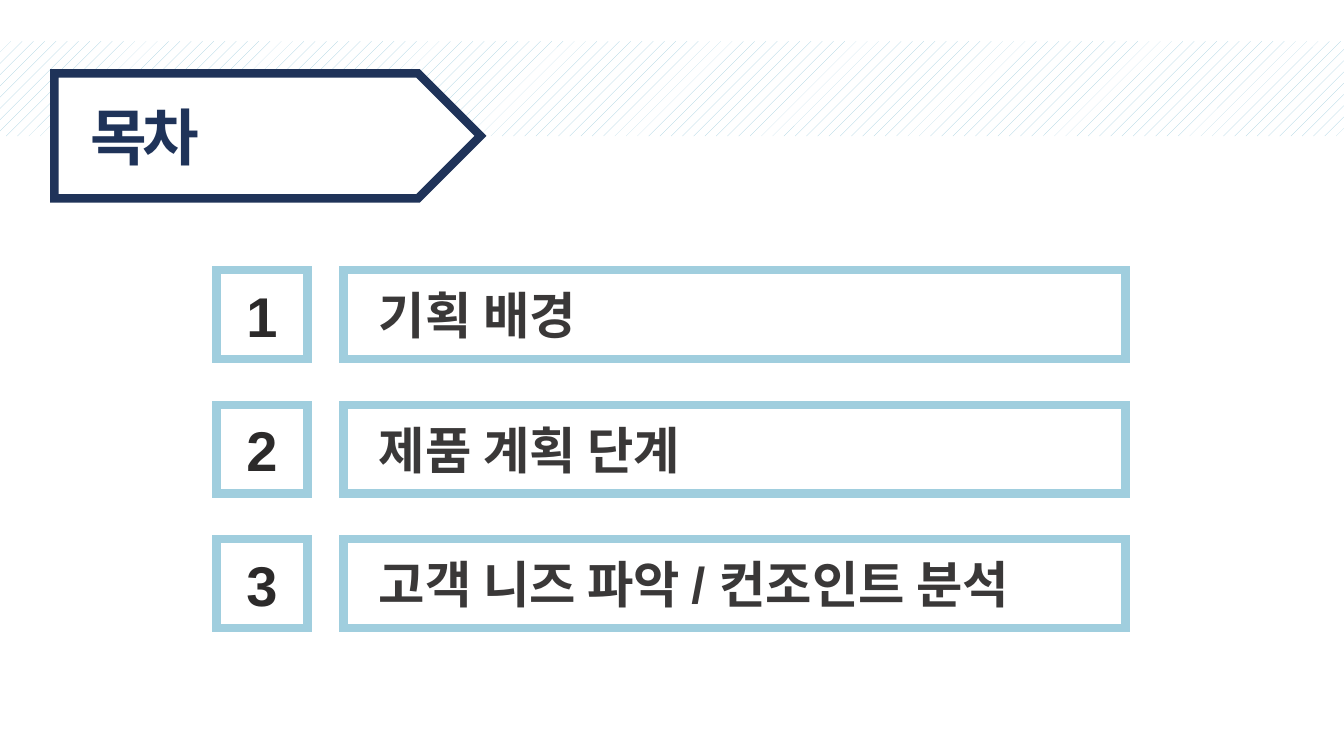
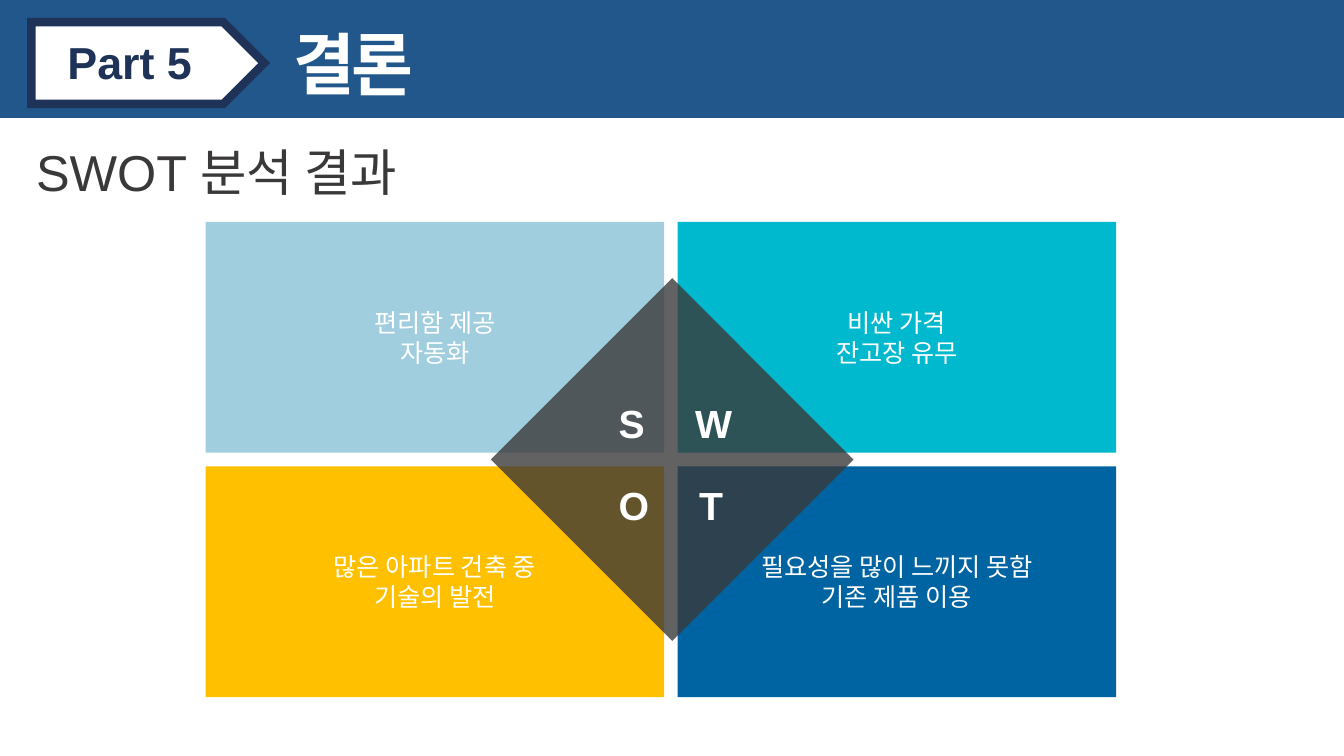
from typing import NamedTuple

from lxml.etree import SubElement
from pptx import Presentation
from pptx.dml.color import RGBColor
from pptx.enum.dml import MSO_PATTERN
from pptx.enum.shapes import MSO_SHAPE as Shape
from pptx.enum.text import MSO_ANCHOR as Anchor, PP_ALIGN as Align
from pptx.oxml.ns import qn
from pptx.util import Cm, Pt

# Shared style
FONT = "Arial"
COLORS = {
    "white": "FFFFFF", "navy": "1F3359", "band": "22578B",
    "sky": "A0CEDE", "teal": "00B9CE", "amber": "FFC000", "blue": "0064A2",
    "text": "3A3838", "number": "2C2A2A",
}
SLIDE_W, SLIDE_H = 33.87, 19.05
FRAME_PT = 6


class Box(NamedTuple):
    """A place on the slide, in centimetres."""
    x: float
    y: float
    w: float
    h: float


class Quadrant(NamedTuple):
    letter: str
    letter_x: float
    color: str
    text: str


AGENDA = ["기획 배경", "제품 계획 단계", "고객 니즈 파악 / 컨조인트 분석"]
SWOT = [
    Quadrant("S", 15.34, "sky", "편리함 제공\n자동화"),
    Quadrant("W", 17.27, "teal", "비싼 가격\n잔고장 유무"),
    Quadrant("O", 15.34, "amber", "많은 아파트 건축 중\n기술의 발전"),
    Quadrant("T", 17.37, "blue", "필요성을 많이 느끼지 못함\n기존 제품 이용"),
]


def rgb(name: str) -> RGBColor:
    return RGBColor.from_string(COLORS[name])


def write(sp, text: str, *, size: float, color: str, bold: bool = False,
          align=Align.LEFT, anchor=Anchor.TOP, spacing: float = 0,
          line: float | None = None) -> None:
    """Fill a shape with text, one paragraph to a line."""
    tf = sp.text_frame
    tf.word_wrap = True
    tf.vertical_anchor = anchor
    for i, part in enumerate(text.split("\n")):
        p = tf.add_paragraph() if i else tf.paragraphs[0]
        p.alignment = align
        if line:
            p.line_spacing = line
        r = p.add_run()
        r.text = part
        r.font.name, r.font.size, r.font.bold = FONT, Pt(size), bold
        r.font.color.rgb = rgb(color)
        if spacing:
            r.font._element.set("spc", str(int(spacing * 100)))


def add_text(s, box: Box, text: str, **fmt) -> None:
    write(s.shapes.add_textbox(*map(Cm, box)), text, **fmt)


def add_shape(s, box: Box, fill: str, *, kind=Shape.RECTANGLE,
              frame: str | None = None, alpha: int | None = None):
    """Draw a flat shape, with a mitred frame if a frame colour is given."""
    sp = s.shapes.add_shape(kind, *map(Cm, box))
    sp.shadow.inherit = False
    sp.fill.solid()
    sp.fill.fore_color.rgb = rgb(fill)
    if alpha is not None:
        clr = sp._element.spPr.find(qn("a:solidFill"))[0]
        SubElement(clr, qn("a:alpha")).set("val", str(alpha * 1000))
    if frame:
        sp.line.color.rgb = rgb(frame)
        sp.line.width = Pt(FRAME_PT)
        ln = sp._element.spPr.find(qn("a:ln"))
        SubElement(ln, qn("a:miter")).set("lim", "800000")
    else:
        sp.line.fill.background()
    return sp


def add_tag(s, box: Box, text_box: Box, text: str, **fmt) -> None:
    """Arrow-shaped label that opens every slide."""
    add_shape(s, box, "white", kind=Shape.PENTAGON, frame="navy")
    add_text(s, text_box, text, color="navy", bold=True, **fmt)


def build_agenda(s) -> None:
    # Hatched band and title tag
    hatch = add_shape(s, Box(0, 1.04, SLIDE_W, 2.39), "white")
    hatch.fill.patterned()
    hatch.fill.pattern = MSO_PATTERN.PERCENT_10
    hatch.fill.fore_color.rgb = rgb("sky")
    hatch.fill.back_color.rgb = rgb("white")
    add_tag(s, Box(1.37, 1.85, 10.74, 3.15), Box(2.03, 2.36, 6, 2.13),
            "목차", size=44, spacing=-3)

    # Numbered rows
    top, pitch, height = 6.81, 3.39, 2.24
    for i, label in enumerate(AGENDA):
        y = top + i * pitch
        number = add_shape(s, Box(5.46, y, 2.29, height), "white", frame="sky")
        write(number, str(i + 1), size=40, color="number", bold=True,
              align=Align.CENTER, anchor=Anchor.MIDDLE)
        add_shape(s, Box(8.66, y, 19.71, height), "white", frame="sky")
        add_text(s, Box(9.3, y + 0.23, 18.8, 1.8), label,
                 size=36, color="text", bold=True)


def build_swot(s) -> None:
    # Header band, part tag and titles
    add_shape(s, Box(0, 0, SLIDE_W, 2.97), "band")
    add_tag(s, Box(0.79, 0.56, 5.87, 2.06), Box(1.45, 0.76, 4.5, 1.63),
            "Part 5", size=32)
    add_text(s, Box(7.16, 0.43, 6, 2.31), "결론",
             size=48, color="white", bold=True, spacing=-3)
    add_text(s, Box(0.66, 3.61, 23.16, 1.83), "SWOT 분석 결과",
             size=36, color="text", line=0.9)

    # Quadrants
    left, top, widths, height, gap = 5.18, 5.59, (11.56, 11.05), 5.82, 0.34
    for i, q in enumerate(SWOT):
        row, col = divmod(i, 2)
        box = Box(left + col * (widths[0] + gap), top + row * (height + gap),
                  widths[col], height)
        write(add_shape(s, box, q.color), q.text, size=18, color="white",
              align=Align.CENTER, anchor=Anchor.MIDDLE)

    # Centre diamond and its letters
    add_shape(s, Box(12.37, 7.01, 9.14, 9.14), "text",
              kind=Shape.DIAMOND, alpha=79)
    for i, q in enumerate(SWOT):
        add_text(s, Box(q.letter_x, 9.93 + i // 2 * 2.08, 1.12, 1.45),
                 q.letter, size=28, color="white", bold=True)


def main() -> None:
    prs = Presentation()
    prs.slide_width, prs.slide_height = Cm(SLIDE_W), Cm(SLIDE_H)
    for build in (build_agenda, build_swot):
        build(prs.slides.add_slide(prs.slide_layouts[6]))
    prs.save("out.pptx")


if __name__ == "__main__":
    main()
